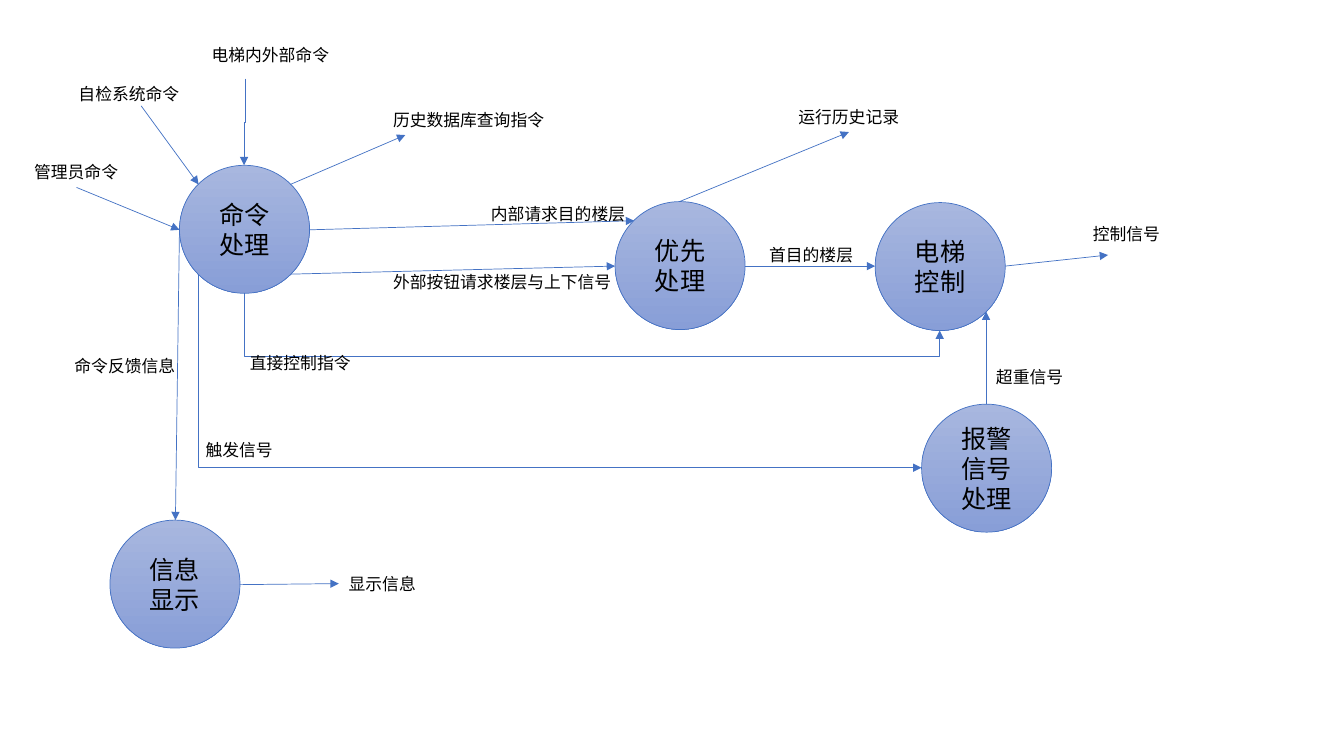
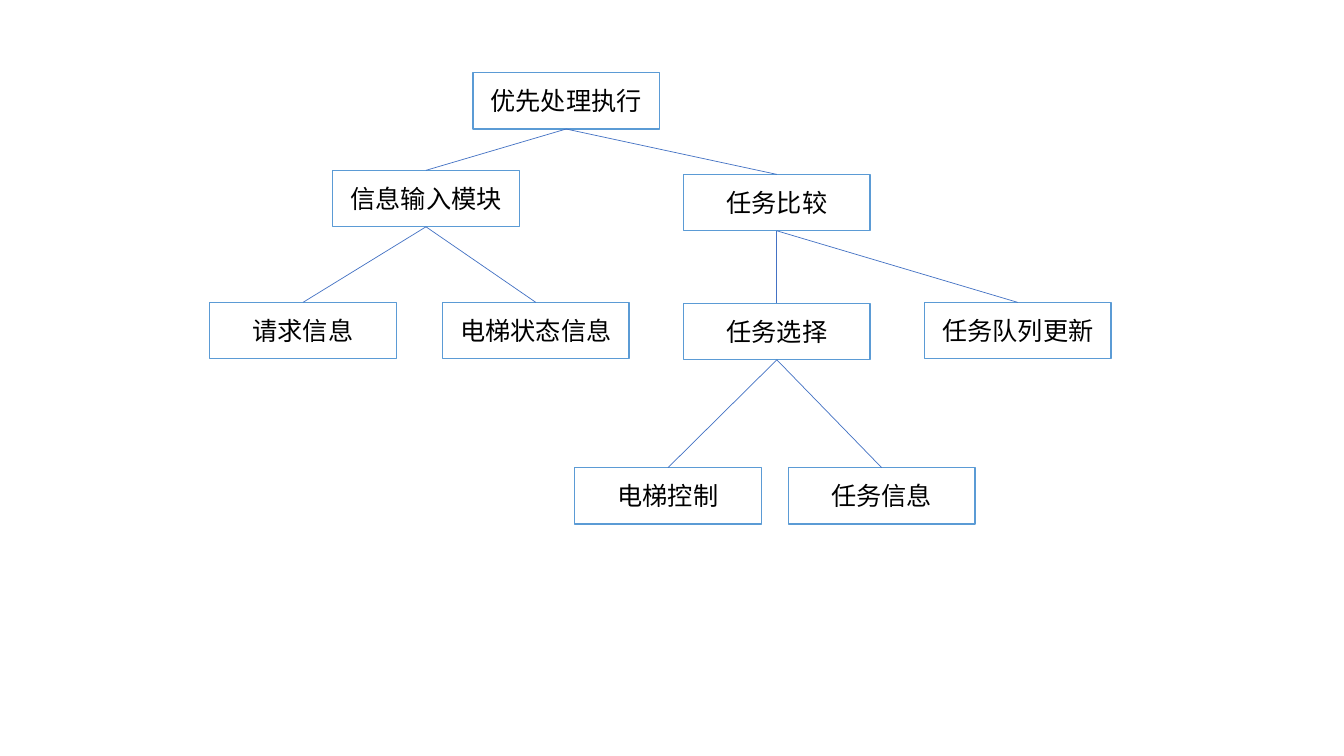
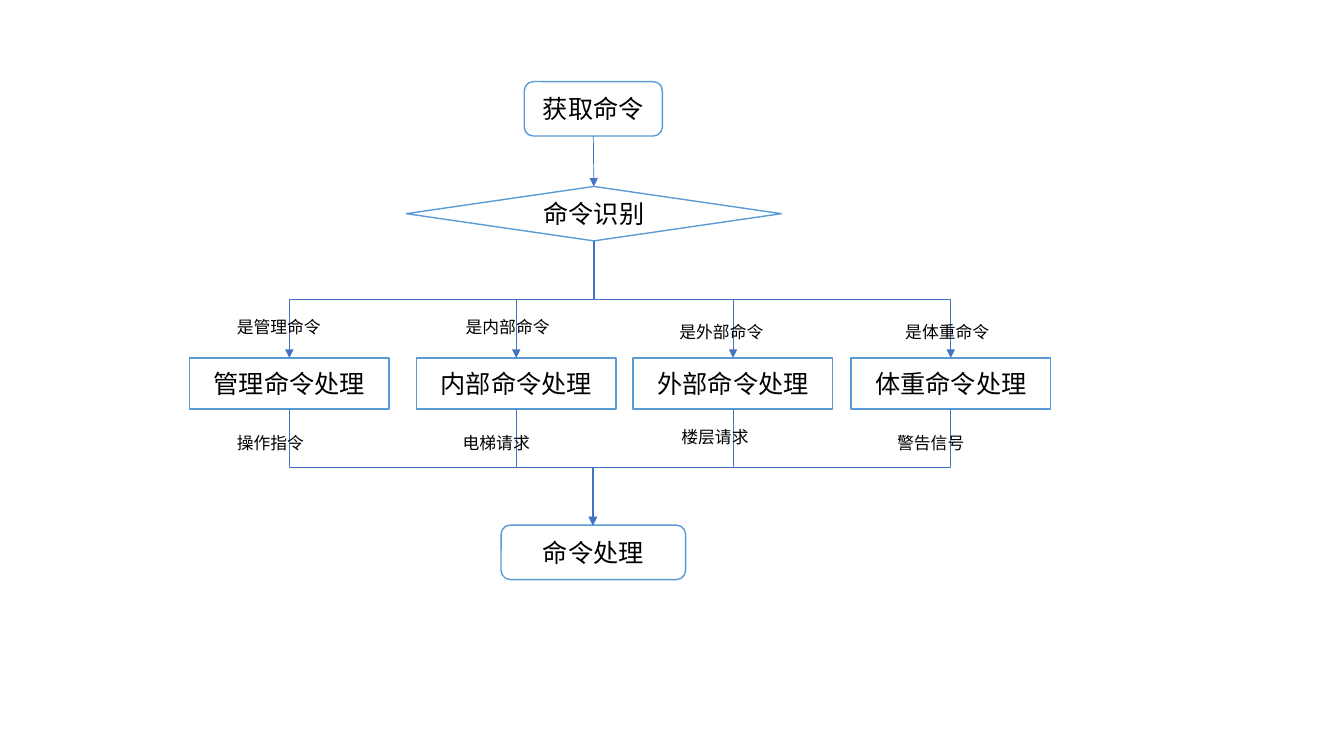
from dataclasses import dataclass
from math import hypot

from pptx import Presentation
from pptx.dml.color import RGBColor
from pptx.enum.shapes import MSO_CONNECTOR, MSO_SHAPE
from pptx.enum.text import MSO_ANCHOR, MSO_AUTO_SIZE, PP_ALIGN
from pptx.oxml.ns import qn
from pptx.util import Pt
from lxml.etree import SubElement

PX = 9144
NORTH, SOUTH, WEST, EAST = (0, -1), (0, 1), (-1, 0), (1, 0)
NORTH_WEST, NORTH_EAST = (-1, -1), (1, -1)
SOUTH_WEST, SOUTH_EAST = (-1, 1), (1, 1)
TOP, BOTTOM = 0, 2


@dataclass(frozen=True)
class Theme:
    font: str = "Noto Sans CJK SC"
    text: RGBColor = RGBColor(0x00, 0x00, 0x00)
    box_fill: RGBColor = RGBColor(0xFF, 0xFF, 0xFF)
    box_line: RGBColor = RGBColor(0x5B, 0x9B, 0xD5)
    connector: RGBColor = RGBColor(0x44, 0x72, 0xC4)
    circle_top: RGBColor = RGBColor(0xA8, 0xB7, 0xDF)
    circle_bottom: RGBColor = RGBColor(0x88, 0x9E, 0xD7)
    node_size: int = 18
    label_size: int = 12
    leading: float = 1.2
    thin: float = 0.5
    medium: float = 1


class Diagram:
    def __init__(self, theme):
        self.theme = theme
        self.presentation = Presentation()
        self.presentation.slide_width = 1333 * PX
        self.presentation.slide_height = 750 * PX
        self.slide = None

    def new_slide(self):
        layout = self.presentation.slide_layouts[6]
        self.slide = self.presentation.slides.add_slide(layout)

    def set_text(self, text_frame, text, size, alignment):
        text_frame.text = text
        paragraph = text_frame.paragraphs[0]
        paragraph.alignment = alignment
        paragraph.line_spacing = Pt(size * self.theme.leading)
        run = paragraph.runs[0]
        run.font.size = Pt(size)
        run.font.color.rgb = self.theme.text
        run.font.name = self.theme.font
        east_asian = SubElement(run.font._element, qn("a:ea"))
        east_asian.set("typeface", self.theme.font)

    def node(self, kind, text, left, top, width, height):
        shape = self.slide.shapes.add_shape(
            kind, left * PX, top * PX, width * PX, height * PX)
        shape.shadow.inherit = False
        shape.text_frame.word_wrap = True
        shape.text_frame.vertical_anchor = MSO_ANCHOR.MIDDLE
        self.set_text(shape.text_frame, text, self.theme.node_size, PP_ALIGN.CENTER)
        return shape

    def box(self, text, left, top, width, height, kind=MSO_SHAPE.RECTANGLE):
        shape = self.node(kind, text, left, top, width, height)
        shape.fill.solid()
        shape.fill.fore_color.rgb = self.theme.box_fill
        shape.line.color.rgb = self.theme.box_line
        shape.line.width = Pt(self.theme.medium)
        return shape

    def circle(self, text, left, top):
        shape = self.node(MSO_SHAPE.OVAL, text, left, top, 129, 127)
        shape.fill.gradient()
        shape.fill.gradient_angle = 270
        colors = (self.theme.circle_top, self.theme.circle_bottom)
        for stop, color in zip(shape.fill.gradient_stops, colors):
            stop.color.rgb = color
        shape.line.color.rgb = self.theme.connector
        shape.line.width = Pt(self.theme.thin)
        return shape

    def label(self, text, left, top):
        width = 17 * len(text) + 20
        shape = self.slide.shapes.add_textbox(left * PX, top * PX, width * PX, 30 * PX)
        shape.text_frame.word_wrap = False
        shape.text_frame.auto_size = MSO_AUTO_SIZE.SHAPE_TO_FIT_TEXT
        self.set_text(shape.text_frame, text, self.theme.label_size, PP_ALIGN.LEFT)

    def port(self, shape, direction):
        across, down = direction
        reach = hypot(across, down)
        x = shape.left + shape.width / 2 * (1 + across / reach)
        y = shape.top + shape.height / 2 * (1 + down / reach)
        return round(x / PX), round(y / PX)

    def connector(self, kind, start, end, arrow):
        points = [round(value * PX) for value in (*start, *end)]
        connector = self.slide.shapes.add_connector(kind, *points)
        connector.line.color.rgb = self.theme.connector
        connector.line.width = Pt(self.theme.thin)
        properties = connector.element.spPr
        if arrow:
            SubElement(properties.find(qn("a:ln")), qn("a:tailEnd")).set("type", "triangle")
        SubElement(properties, qn("a:effectLst"))
        return connector

    def arrow(self, start, end):
        self.connector(MSO_CONNECTOR.STRAIGHT, start, end, True)

    def link(self, upper, lower, arrow=False):
        start, end = self.port(upper, SOUTH), self.port(lower, NORTH)
        connector = self.connector(MSO_CONNECTOR.STRAIGHT, start, end, arrow)
        connector.begin_connect(upper, BOTTOM)
        connector.end_connect(lower, TOP)

    def elbow(self, start, end, bend=0.5, corner=False):
        center_x, center_y = (start[0] + end[0]) / 2, (start[1] + end[1]) / 2
        half_width = (end[1] - start[1]) / 2
        half_height = abs(end[0] - start[0]) / 2
        connector = self.connector(
            MSO_CONNECTOR.ELBOW,
            (center_x - half_width, center_y - half_height),
            (center_x + half_width, center_y + half_height), True)
        properties = connector.element.spPr
        transform = properties.find(qn("a:xfrm"))
        goes_right = end[0] > start[0]
        transform.set("rot", str((270 if goes_right else 90) * 60000))
        if goes_right:
            transform.set("flipH", "1")
        geometry = properties.find(qn("a:prstGeom"))
        if corner:
            geometry.set("prst", "bentConnector2")
        else:
            guide = SubElement(geometry.find(qn("a:avLst")), qn("a:gd"))
            guide.set("name", "adj1")
            guide.set("fmla", f"val {round(bend * 100000)}")


def data_flow(diagram):
    diagram.new_slide()
    command = diagram.circle("命令处理", 178, 164)
    priority = diagram.circle("优先处理", 610, 200)
    control = diagram.circle("电梯控制", 868, 201)
    display = diagram.circle("信息显示", 109, 516)
    alarm = diagram.circle("报警信号处理", 914, 401)
    port = diagram.port

    for start, end in (
        (port(command, NORTH_EAST), (402, 134)),
        (port(command, WEST), port(display, NORTH)),
        (port(command, EAST), port(priority, NORTH_WEST)),
        (port(command, SOUTH_EAST), port(priority, WEST)),
        (port(priority, EAST), port(control, WEST)),
        (port(priority, NORTH), (842, 131)),
        (port(alarm, NORTH), port(control, SOUTH_EAST)),
        (port(control, EAST), (1099, 253)),
        (port(display, EAST), (336, 579)),
        ((140, 105), port(command, NORTH_WEST)),
        ((76, 186), port(command, WEST)),
    ):
        diagram.arrow(start, end)

    diagram.elbow((243, 78), port(command, NORTH))
    diagram.elbow(port(command, SOUTH), port(control, SOUTH), bend=1.68)
    diagram.elbow(port(command, SOUTH_WEST), port(alarm, WEST), corner=True)

    for text, left, top in (
        ("电梯内外部命令", 200, 39),
        ("自检系统命令", 68, 78),
        ("管理员命令", 24, 156),
        ("历史数据库查询指令", 380, 104),
        ("运行历史记录", 782, 101),
        ("内部请求目的楼层", 477, 197),
        ("外部按钮请求楼层与上下信号", 380, 265),
        ("首目的楼层", 753, 238),
        ("控制信号", 1074, 217),
        ("直接控制指令", 238, 345),
        ("命令反馈信息", 64, 348),
        ("超重信号", 978, 359),
        ("触发信号", 194, 431),
        ("显示信息", 336, 564),
    ):
        diagram.label(text, left, top)


def module_tree(diagram):
    diagram.new_slide()
    modules = {
        text: diagram.box(text, left, top, 185, 56)
        for text, left, top in (
            ("优先处理执行", 469, 72),
            ("信息输入模块", 330, 169),
            ("任务比较", 678, 173),
            ("请求信息", 208, 300),
            ("电梯状态信息", 439, 300),
            ("任务选择", 678, 301),
            ("任务队列更新", 917, 300),
            ("电梯控制", 570, 464),
            ("任务信息", 782, 464),
        )
    }
    for parent, children in (
        ("优先处理执行", ("信息输入模块", "任务比较")),
        ("信息输入模块", ("请求信息", "电梯状态信息")),
        ("任务比较", ("任务选择", "任务队列更新")),
        ("任务选择", ("电梯控制", "任务信息")),
    ):
        for child in children:
            diagram.link(modules[parent], modules[child])


def command_flow(diagram):
    diagram.new_slide()
    receive = diagram.box("获取命令", 520, 81, 137, 54, MSO_SHAPE.ROUNDED_RECTANGLE)
    identify = diagram.box("命令识别", 403, 185, 372, 54, MSO_SHAPE.DIAMOND)
    process = diagram.box("命令处理", 497, 521, 183, 54, MSO_SHAPE.ROUNDED_RECTANGLE)
    diagram.link(receive, identify, arrow=True)

    for text, left, condition, condition_at, result, result_at in (
        ("管理命令处理", 188, "是管理命令", (225, 309), "操作指令", (225, 424)),
        ("内部命令处理", 413, "是内部命令", (452, 309), "电梯请求", (449, 424)),
        ("外部命令处理", 628, "是外部命令", (664, 314), "楼层请求", (666, 418)),
        ("体重命令处理", 844, "是体重命令", (888, 314), "警告信号", (880, 424)),
    ):
        branch = diagram.box(text, left, 355, 198, 51)
        diagram.elbow(diagram.port(identify, SOUTH), diagram.port(branch, NORTH))
        diagram.elbow(diagram.port(branch, SOUTH), diagram.port(process, NORTH))
        diagram.label(condition, *condition_at)
        diagram.label(result, *result_at)


def main():
    diagram = Diagram(Theme())
    data_flow(diagram)
    module_tree(diagram)
    command_flow(diagram)
    diagram.presentation.save("out.pptx")


if __name__ == "__main__":
    main()
